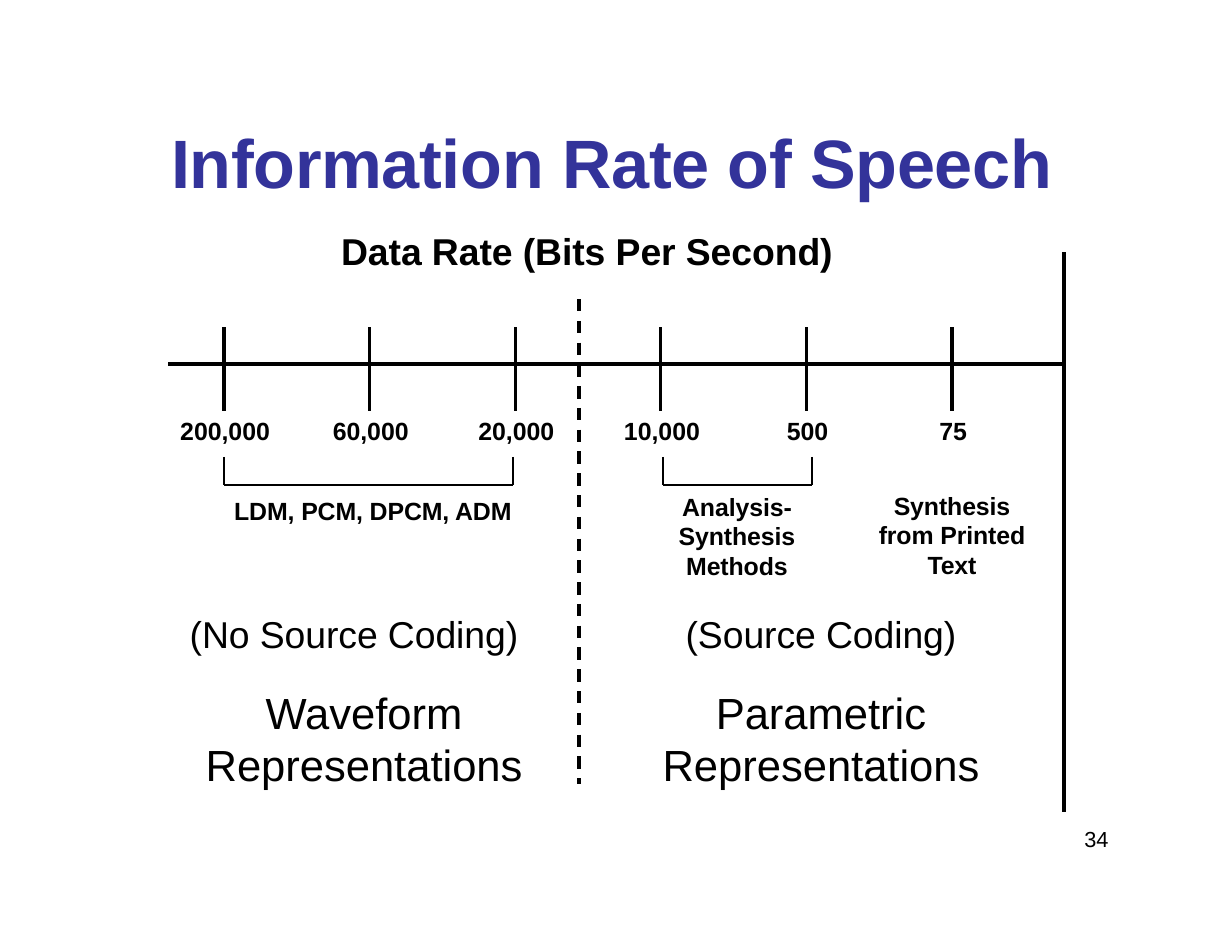
from dataclasses import dataclass

from lxml import etree
from pptx import Presentation
from pptx.dml.color import RGBColor
from pptx.enum.shapes import MSO_CONNECTOR
from pptx.enum.text import MSO_ANCHOR, PP_ALIGN
from pptx.oxml.ns import qn
from pptx.util import Inches, Pt

STRAIGHT = MSO_CONNECTOR.STRAIGHT
TOP = MSO_ANCHOR.TOP
CENTER = PP_ALIGN.CENTER


@dataclass(frozen=True)
class Theme:
    font: str = "Arial"
    ink: RGBColor = RGBColor(0, 0, 0)
    accent: RGBColor = RGBColor(0x33, 0x33, 0x9A)
    title: int = 44
    family: int = 28
    heading: int = 24
    label: int = 16
    number: int = 14
    leading: float = 1.19
    thick: float = 2.08
    thin: float = 1.12


THEME = Theme()

# Content
TITLE = "Information Rate of Speech"
SUBTITLE = "Data Rate (Bits Per Second)"
RATES = [  # text, width
    ("200,000", 0.83), ("60,000", 0.71), ("20,000", 0.71),
    ("10,000", 0.71), ("500", 0.4), ("75", 0.28),
]
BRACKETS = [(2, 4.58), (5.92, 7.25)]  # left, right
METHODS = [  # text, centre, top, width, lines
    ("LDM, PCM, DPCM, ADM", 3.33, 4.43, 2.53, 1),
    ("Analysis- Synthesis Methods", 6.58, 4.39, 1.08, 3),
    ("Synthesis from Printed Text", 8.5, 4.38, 1.35, 3),
]
SIDES = [  # coding, its centre and width, family, its centre
    ("(No Source Coding)", 3.16, 2.97, "Waveform Representations", 3.25),
    ("(Source Coding)", 7.33, 2.45, "Parametric Representations", 7.33),
]
PAGE_NUMBER = "34"

# Grid of the rate axis
AXIS_LEFT, AXIS_RIGHT, AXIS_Y = 1.5, 9.5, 3.25
FIRST_TICK, TICK_STEP = 2, 1.3
TICK_TOP, TICK_BOTTOM = 2.92, 3.67
DIVIDER_X, DIVIDER_TOP, DIVIDER_BOTTOM = 5.17, 2.67, 7
DASH_COUNT, DASH_LENGTH, DASH_STEP = 23, 8 / 72, 14 / 72
BRACKET_TOP, BRACKET_BOTTOM = 4.08, 4.33

deck = Presentation()
deck.slide_width, deck.slide_height = Inches(11), Inches(8.5)
page = deck.slides.add_slide(deck.slide_layouts[5])


def write(text, *, center, top, width, size, lines=1, bold=False,
          color=THEME.ink, tracking=0, box=None):
    """Centre text on an x position, in a new text box or the given one."""
    if box is None:
        box = page.shapes.add_textbox(0, 0, 0, 0)
    box.left, box.top = Inches(center - width / 2), Inches(top)
    box.width = Inches(width)
    box.height = Inches(size * THEME.leading * lines / 72)
    frame = box.text_frame
    frame.word_wrap = True
    frame.vertical_anchor = TOP
    frame.margin_left = frame.margin_right = 0
    frame.margin_top = frame.margin_bottom = 0
    para = frame.paragraphs[0]
    para.alignment = CENTER
    para.line_spacing = Pt(round(size * THEME.leading, 1))
    span = para.add_run()
    span.text = text
    span.font.name, span.font.size = THEME.font, Pt(size)
    span.font.bold, span.font.color.rgb = bold, color
    if tracking:
        span.font._element.set("spc", str(tracking))


def draw_line(x1, y1, x2, y2, weight=THEME.thick):
    line = page.shapes.add_connector(
        STRAIGHT, Inches(x1), Inches(y1), Inches(x2), Inches(y2))
    line.line.color.rgb = THEME.ink
    line.line.width = Pt(weight)
    etree.SubElement(line._element.spPr, qn("a:effectLst"))


# Headings
write(TITLE, center=5.46, top=1.08, width=8.64, size=THEME.title, bold=True,
      color=THEME.accent, tracking=-25, box=page.shapes.title)
write(SUBTITLE, center=5.24, top=2.04, width=4.44, size=THEME.heading,
      bold=True, tracking=-5)

# Axis and right edge
draw_line(AXIS_LEFT, AXIS_Y, AXIS_RIGHT, AXIS_Y)
draw_line(AXIS_RIGHT, 2.25, AXIS_RIGHT, 7.25)

# Dashed divider, its last dash cut short
for index in range(DASH_COUNT):
    dash_top = DIVIDER_TOP + index * DASH_STEP
    draw_line(DIVIDER_X, dash_top, DIVIDER_X,
              min(dash_top + DASH_LENGTH, DIVIDER_BOTTOM))

# Ticks and their rates
for index, (rate, width) in enumerate(RATES):
    tick_x = FIRST_TICK + index * TICK_STEP
    draw_line(tick_x, TICK_TOP, tick_x, TICK_BOTTOM)
    write(rate, center=tick_x + 0.01, top=3.71, width=width,
          size=THEME.label, bold=True)

# Brackets and methods
for left, right in BRACKETS:
    draw_line(left, BRACKET_BOTTOM, right, BRACKET_BOTTOM, THEME.thin)
    for side in (left, right):
        draw_line(side, BRACKET_TOP, side, BRACKET_BOTTOM, THEME.thin)
for method, center, top, width, lines in METHODS:
    write(method, center=center, top=top, width=width, size=THEME.label,
          lines=lines, bold=True, tracking=-5)

# The two sides of the divider
for coding, coding_x, width, family, family_x in SIDES:
    write(coding, center=coding_x, top=5.46, width=width, size=THEME.heading,
          tracking=-5)
    write(family, center=family_x, top=6.13, width=2.87, size=THEME.family,
          lines=2)

write(PAGE_NUMBER, center=9.79, top=7.37, width=0.27, size=THEME.number)

deck.save("out.pptx")
